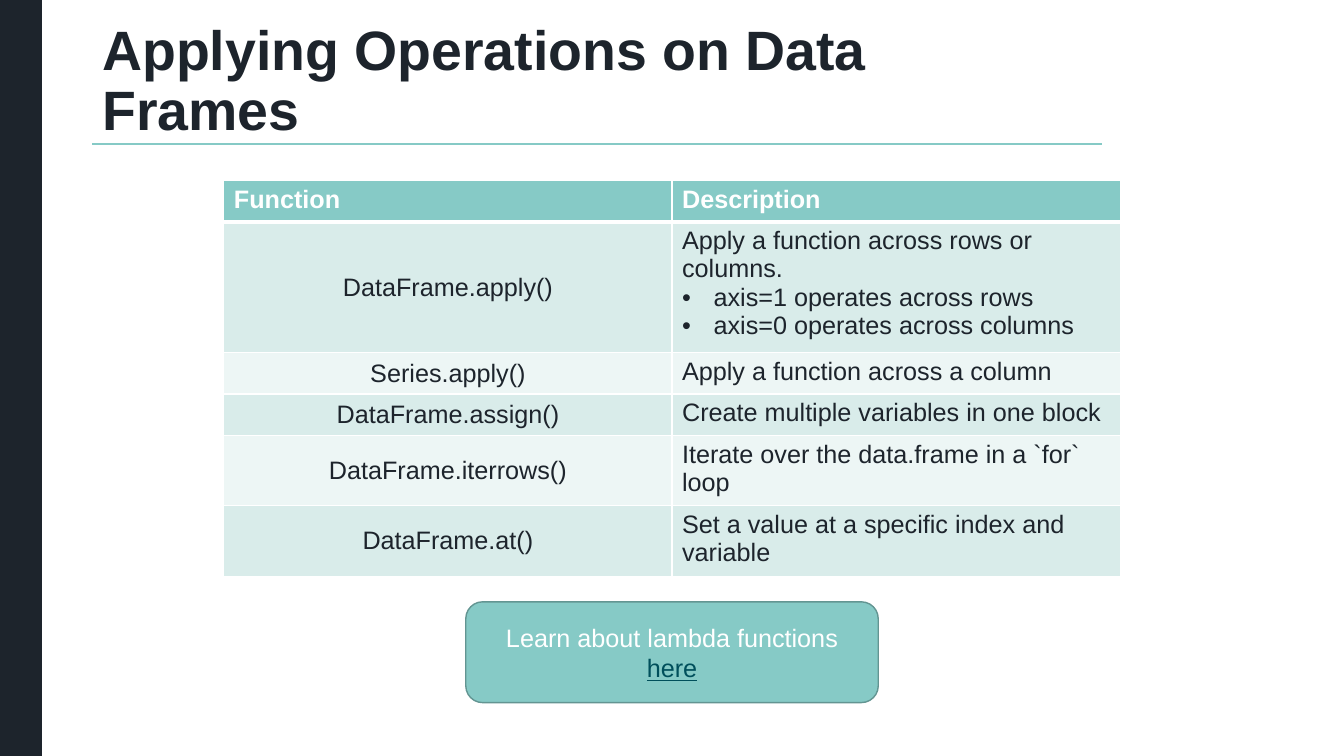
from dataclasses import dataclass

from lxml import etree
from pptx import Presentation
from pptx import util as u
from pptx.dml.color import RGBColor
from pptx.enum import shapes, text
from pptx.oxml.ns import qn

COLS, ROWS = 32, 18


@dataclass(frozen=True)
class Theme:
    font: str = "Arial"
    title: float = 39.6
    body: float = 18
    ink: str = "1D242C"
    white: str = "FFFFFF"
    teal: str = "86CAC6"
    edge: str = "639592"
    link: str = "004F5B"
    bands: tuple = ("D9ECEA", "EDF6F5")


class Deck:
    def __init__(self, theme):
        self.theme = theme
        self.prs = Presentation()
        self.prs.slide_width = u.Inches(13.333)
        self.prs.slide_height = u.Inches(7.5)
        self.s = self.prs.slides.add_slide(self.prs.slide_layouts[6])

    def x(self, cols):
        return round(self.prs.slide_width * cols / COLS)

    def y(self, rows):
        return round(self.prs.slide_height * rows / ROWS)

    def box(self, left, top, width, height):
        return self.x(left), self.y(top), self.x(width), self.y(height)

    def run(self, p, words, color, size=None, bold=False, underline=False):
        r = p.add_run()
        r.text = words
        r.font.name = self.theme.font
        r.font.size = u.Pt(size or self.theme.body)
        r.font.bold = bold
        r.font.underline = underline
        r.font.color.rgb = RGBColor.from_string(color)

    def shape(self, kind, at, fill, line=None):
        sp = self.s.shapes.add_shape(kind, *self.box(*at))
        sp.shadow.inherit = False
        sp.fill.solid()
        sp.fill.fore_color.rgb = RGBColor.from_string(fill)
        if line:
            sp.line.color.rgb = RGBColor.from_string(line)
            sp.line.width = u.Pt(1)
        else:
            sp.line.fill.background()
        return sp

    def rule(self, left, right, top, color):
        c = self.s.shapes.add_connector(
            shapes.MSO_CONNECTOR.STRAIGHT,
            self.x(left), self.y(top), self.x(right), self.y(top))
        c.line.color.rgb = RGBColor.from_string(color)
        c.line.width = u.Pt(1)
        etree.SubElement(c._element.spPr, qn("a:effectLst"))

    def title(self, at, words):
        tf = self.s.shapes.add_textbox(*self.box(*at)).text_frame
        tf.word_wrap = True
        tf.vertical_anchor = text.MSO_ANCHOR.MIDDLE
        p = tf.paragraphs[0]
        p.line_spacing = 0.9
        self.run(p, words, self.theme.ink, self.theme.title, bold=True)

    def button(self, at, words, link):
        sp = self.shape(shapes.MSO_SHAPE.ROUNDED_RECTANGLE, at,
                        self.theme.teal, self.theme.edge)
        tf = sp.text_frame
        tf.word_wrap = True
        tf.vertical_anchor = text.MSO_ANCHOR.MIDDLE
        p = tf.paragraphs[0]
        p.alignment = text.PP_ALIGN.CENTER
        self.run(p, words, self.theme.white)
        self.run(p, link, self.theme.link, underline=True)

    def bullet(self, p):
        pPr = p._p.get_or_add_pPr()
        indent = self.x(0.75)
        pPr.set("marL", str(indent))
        pPr.set("indent", str(-indent))
        etree.SubElement(pPr, qn("a:buFont"), typeface=self.theme.font)
        etree.SubElement(pPr, qn("a:buChar"), char="•")

    def borders(self, cell, top, bottom):
        tcPr = cell._tc.get_or_add_tcPr()
        sides = (("L", 1), ("R", 1), ("T", top), ("B", bottom))
        for i, (side, width) in enumerate(sides):
            ln = etree.Element(qn(f"a:ln{side}"), w=str(u.Pt(width)))
            fill = etree.SubElement(ln, qn("a:solidFill"))
            etree.SubElement(fill, qn("a:srgbClr"), val=self.theme.white)
            tcPr.insert(i, ln)

    def cell(self, cell, row, col, lines):
        t = self.theme
        header = row == 0
        cell.fill.solid()
        cell.fill.fore_color.rgb = RGBColor.from_string(
            t.teal if header else t.bands[(row - 1) % 2])
        self.borders(cell, 3 if row == 1 else 1, 3 if header else 1)
        centred = col == 0 and not header
        if centred:
            cell.vertical_anchor = text.MSO_ANCHOR.MIDDLE
        tf = cell.text_frame
        for i, words in enumerate(lines):
            p = tf.add_paragraph() if i else tf.paragraphs[0]
            if centred:
                p.alignment = text.PP_ALIGN.CENTER
            if i:
                self.bullet(p)
            self.run(p, words, t.white if header else t.ink, bold=header)

    def table(self, left, top, col_width, heights, rows):
        at = self.box(left, top, 2 * col_width, sum(heights))
        tbl = self.s.shapes.add_table(len(rows), 2, *at).table
        tbl.horz_banding = False
        for column in tbl.columns:
            column.width = self.x(col_width)
        for i, (name, *description) in enumerate(rows):
            tbl.rows[i].height = self.y(heights[i])
            self.cell(tbl.cell(i, 0), i, 0, [name])
            self.cell(tbl.cell(i, 1), i, 1, description)


FUNCTIONS = [
    ("Function", "Description"),
    ("DataFrame.apply()", "Apply a function across rows or columns.",
     "axis=1 operates across rows", "axis=0 operates across columns"),
    ("Series.apply()", "Apply a function across a column"),
    ("DataFrame.assign()", "Create multiple variables in one block"),
    ("DataFrame.iterrows()", "Iterate over the data.frame in a `for` loop"),
    ("DataFrame.at()", "Set a value at a specific index and variable"),
]


def main():
    theme = Theme()
    deck = Deck(theme)
    deck.shape(shapes.MSO_SHAPE.RECTANGLE, (0, 0, 1, ROWS), theme.ink)
    deck.rule(2.2, 26.24, 3.43, theme.teal)
    deck.title((2.2, 1.27, 23.5, 1.4), "Applying Operations on Data Frames")
    deck.table(5.33, 4.3, 10.67, (0.98, 2.94, 0.98, 0.98, 1.58, 1.58), FUNCTIONS)
    deck.button((11.09, 14.33, 9.82, 2.4), "Learn about lambda functions ", "here")
    deck.prs.save("out.pptx")


if __name__ == "__main__":
    main()
